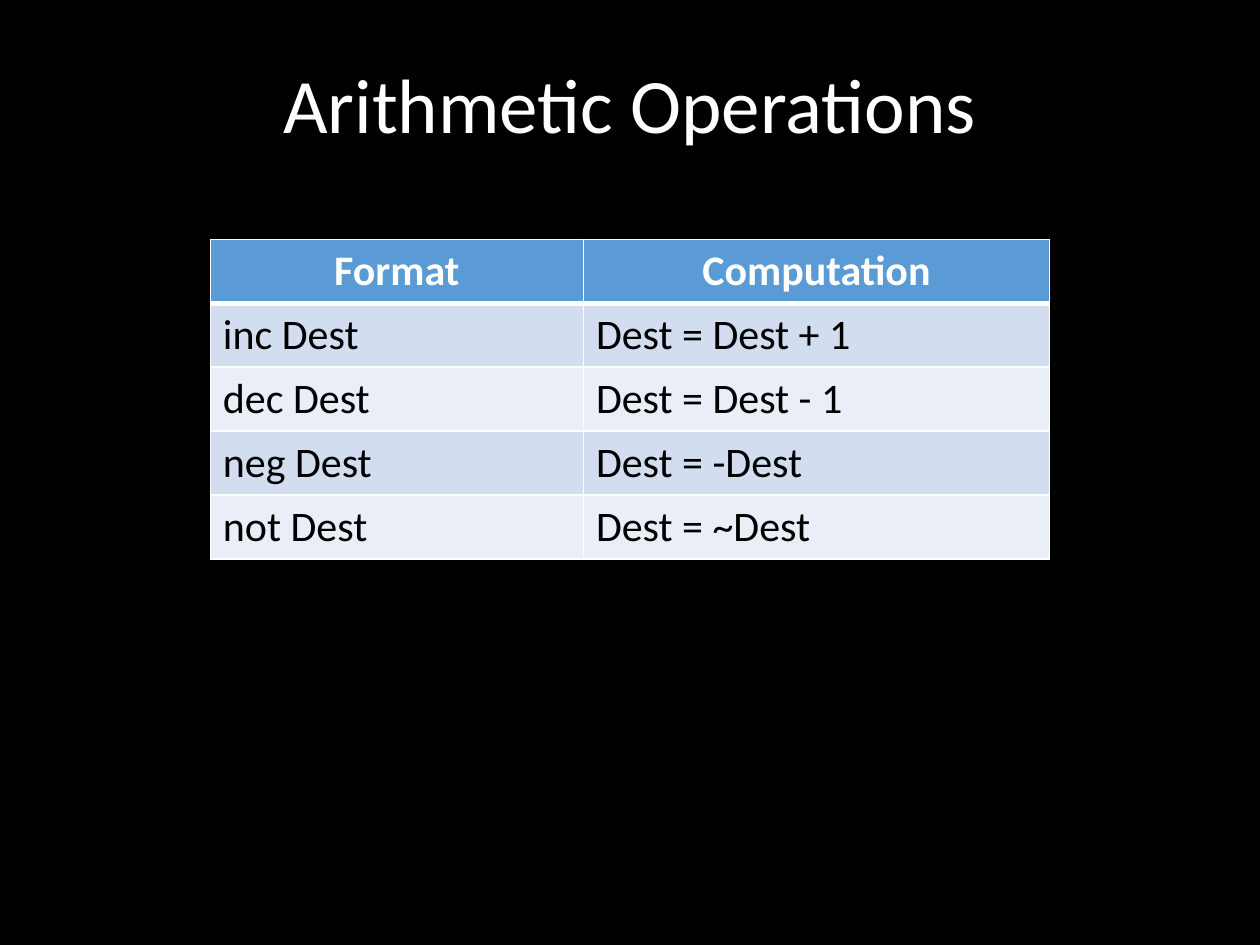
from dataclasses import dataclass

from lxml import etree
from pptx import Presentation
from pptx import util as u
from pptx.dml.color import RGBColor
from pptx.enum import text
from pptx.oxml.ns import qn


@dataclass(frozen=True)
class Theme:
    font: str = "Calibri"
    background: str = "000000"
    light: str = "FFFFFF"
    dark: str = "000000"
    header: str = "5B9BD5"
    bands: tuple[str, str] = ("D2DEEF", "EAEFF7")
    title_size: float = 44
    table_size: float = 24
    rule: float = 1
    header_rule: float = 3


@dataclass(frozen=True)
class Operation:
    format: str
    computation: str


THEME = Theme()
HEADINGS = Operation("Format", "Computation")
OPERATIONS = [
    Operation("inc Dest", "Dest = Dest + 1"),
    Operation("dec Dest", "Dest = Dest - 1"),
    Operation("neg Dest", "Dest = -Dest"),
    Operation("not Dest", "Dest = ~Dest"),
]
SLIDE_WIDTH, SLIDE_HEIGHT = 720, 540
COLUMN_WIDTHS = (213.2, 266.4)
TABLE_TOP, ROW_HEIGHT = 136.8, 36.5


def add_run(paragraph, words: str, size: float, color: str, bold: bool = False) -> None:
    run = paragraph.add_run()
    run.text = words
    run.font.name = THEME.font
    run.font.size = u.Pt(size)
    run.font.bold = bold
    run.font.color.rgb = RGBColor.from_string(color)


def add_borders(cell, top: float, bottom: float) -> None:
    """Rule all four sides; the lines must precede the fill in the cell properties."""
    properties = cell._tc.get_or_add_tcPr()
    widths = {"a:lnL": THEME.rule, "a:lnR": THEME.rule, "a:lnT": top, "a:lnB": bottom}
    for position, (side, width) in enumerate(widths.items()):
        line = etree.Element(qn(side), w=str(u.Pt(width)))
        fill = etree.SubElement(line, qn("a:solidFill"))
        etree.SubElement(fill, qn("a:srgbClr"), val=THEME.light)
        properties.insert(position, line)


def fill_cell(cell, words: str, row: int) -> None:
    is_header = row == 0
    color = THEME.header if is_header else THEME.bands[(row - 1) % 2]
    cell.fill.solid()
    cell.fill.fore_color.rgb = RGBColor.from_string(color)
    paragraph = cell.text_frame.paragraphs[0]
    paragraph.alignment = text.PP_ALIGN.CENTER if is_header else text.PP_ALIGN.LEFT
    add_run(paragraph, words, THEME.table_size,
            THEME.light if is_header else THEME.dark, is_header)
    add_borders(cell,
                top=THEME.header_rule if row == 1 else THEME.rule,
                bottom=THEME.header_rule if is_header else THEME.rule)


def add_title(slide, words: str) -> None:
    title = slide.shapes.title
    title.left, title.top = u.Pt(0), u.Pt(26)
    title.width, title.height = u.Pt(SLIDE_WIDTH), u.Pt(72)
    title.text_frame.vertical_anchor = text.MSO_ANCHOR.MIDDLE
    paragraph = title.text_frame.paragraphs[0]
    paragraph.alignment = text.PP_ALIGN.CENTER
    paragraph.line_spacing = 0.9
    add_run(paragraph, words, THEME.title_size, THEME.light)


def add_operations(slide, rows: list[Operation]) -> None:
    width = sum(COLUMN_WIDTHS)
    table = slide.shapes.add_table(
        len(rows), len(COLUMN_WIDTHS), u.Pt((SLIDE_WIDTH - width) / 2), u.Pt(TABLE_TOP),
        u.Pt(width), u.Pt(ROW_HEIGHT * len(rows))).table
    for column, column_width in zip(table.columns, COLUMN_WIDTHS):
        column.width = u.Pt(column_width)
    for index, operation in enumerate(rows):
        table.rows[index].height = u.Pt(ROW_HEIGHT)
        fill_cell(table.cell(index, 0), operation.format, index)
        fill_cell(table.cell(index, 1), operation.computation, index)


def main() -> None:
    deck = Presentation()
    deck.slide_width, deck.slide_height = u.Pt(SLIDE_WIDTH), u.Pt(SLIDE_HEIGHT)

    # Black slide with a title
    slide = deck.slides.add_slide(deck.slide_layouts[5])
    slide.background.fill.solid()
    slide.background.fill.fore_color.rgb = RGBColor.from_string(THEME.background)
    add_title(slide, "Arithmetic Operations")

    # Table of one-operand instructions
    add_operations(slide, [HEADINGS, *OPERATIONS])
    deck.save("out.pptx")


if __name__ == "__main__":
    main()
